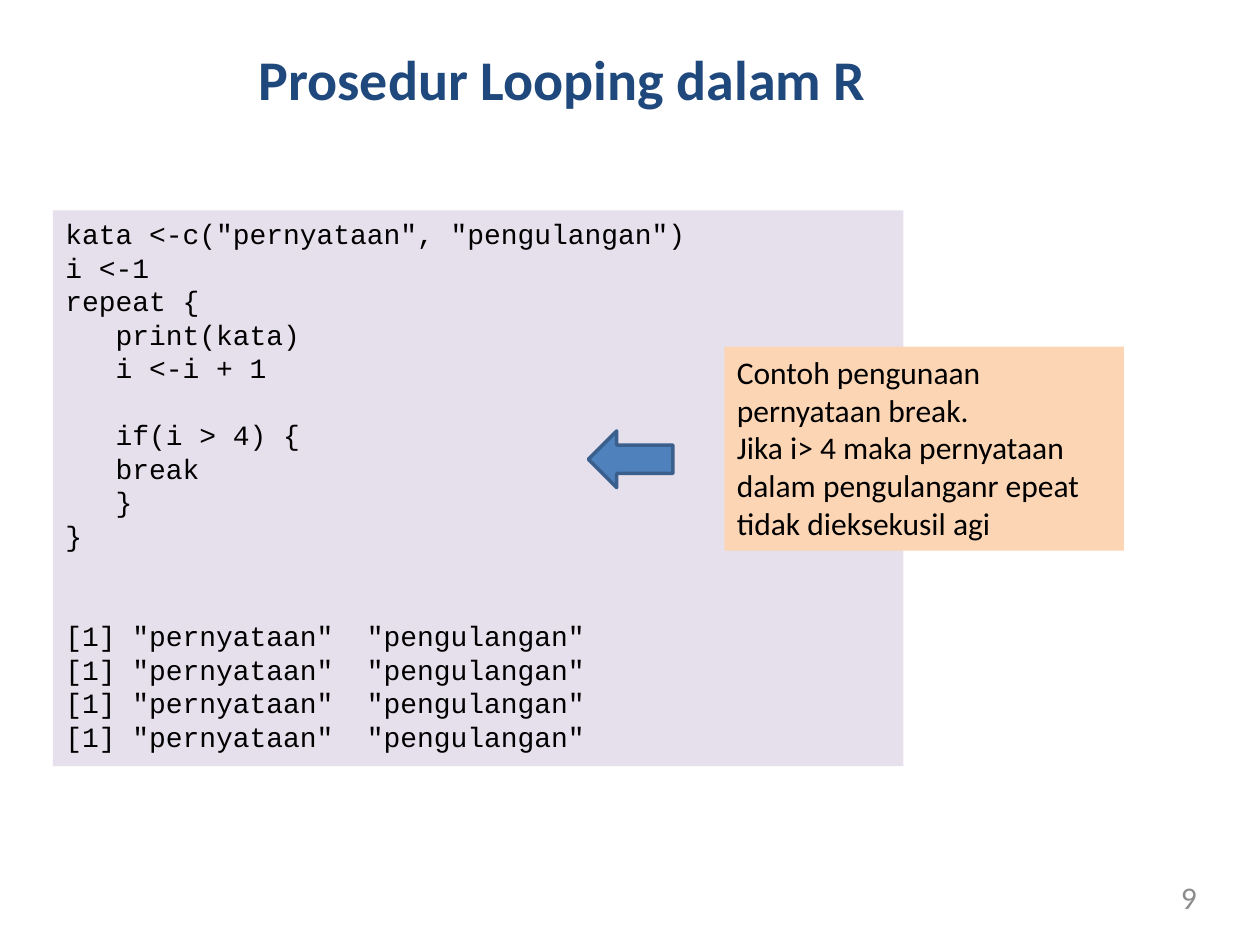
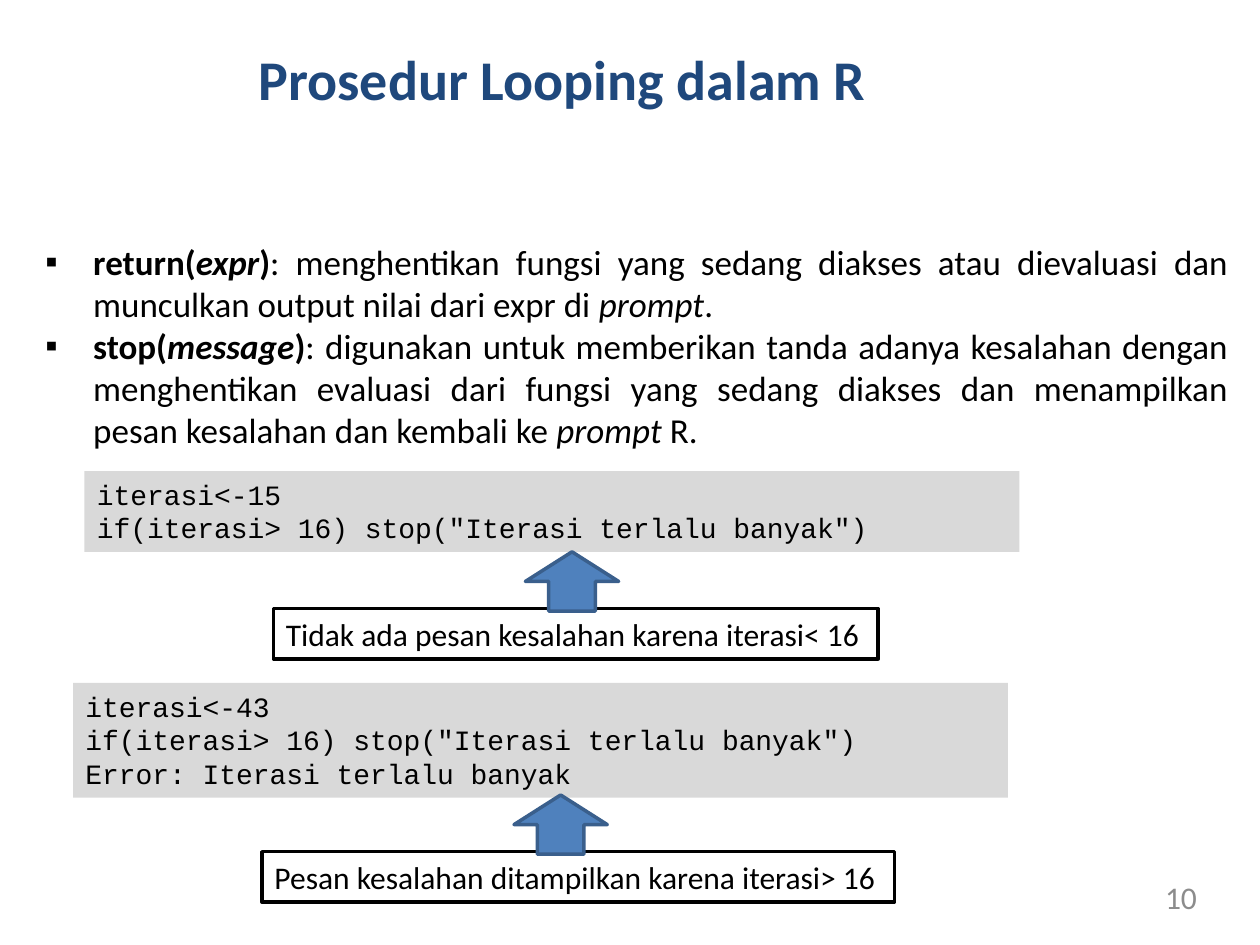
import dataclasses

import lxml.etree
import pptx
import pptx.dml.color
import pptx.enum.shapes
import pptx.enum.text
import pptx.oxml.ns
import pptx.util

PX = 9144
SHAPE = pptx.enum.shapes.MSO_SHAPE
ALIGN = pptx.enum.text.PP_ALIGN


@dataclasses.dataclass(frozen=True)
class Theme:
    sans: str = "Calibri"
    mono: str = "Courier New"
    title: str = "1F487C"
    ink: str = "000000"
    number: str = "8C8C8C"
    lilac: str = "E6E0EC"
    peach: str = "FCD5B5"
    grey: str = "D9D9D9"
    white: str = "FFFFFF"
    arrow: str = "4F81BD"
    arrow_edge: str = "3A5F8C"
    title_size: int = 32
    body_size: int = 20
    note_size: int = 18
    code_size: int = 16
    code_line: int = 19
    edge: int = 2


THEME = Theme()
CODE = {"font": THEME.mono, "size": THEME.code_size}


def write(holder, paragraphs, font=THEME.sans, size=THEME.note_size, color=THEME.ink,
          bold=False, align=ALIGN.LEFT, inset=None, wrap=True, bullet=None, gaps={}):
    frame = holder.text_frame
    frame.word_wrap = wrap
    frame.auto_size = pptx.enum.text.MSO_AUTO_SIZE.NONE
    frame.vertical_anchor = pptx.enum.text.MSO_ANCHOR.TOP
    if inset is not None:
        frame.margin_left = frame.margin_top = frame.margin_right = frame.margin_bottom = inset
    for index, runs in enumerate(paragraphs):
        paragraph = frame.add_paragraph() if index else frame.paragraphs[0]
        if bullet:
            properties = paragraph._p.get_or_add_pPr()
            properties.set("marL", str(38 * PX))
            properties.set("indent", str(-38 * PX))
            mark = lxml.etree.SubElement(properties, pptx.oxml.ns.qn("a:buChar"))
            mark.set("char", bullet)
        paragraph.alignment = align
        paragraph.space_before = pptx.util.Pt(gaps.get(index, 0))
        for words, style in [(runs, "")] if isinstance(runs, str) else runs:
            run = paragraph.add_run()
            run.text = words
            run.font.name = font
            run.font.size = pptx.util.Pt(size)
            run.font.bold = bold or "b" in style
            run.font.italic = "i" in style
            run.font.color.rgb = pptx.dml.color.RGBColor.from_string(color)


def draw(slide, kind, left, top, width, height, fill, line=None):
    shape = slide.shapes.add_shape(kind, left * PX, top * PX, width * PX, height * PX)
    shape.shadow.inherit = False
    shape.fill.solid()
    shape.fill.fore_color.rgb = pptx.dml.color.RGBColor.from_string(fill)
    if line:
        shape.line.color.rgb = pptx.dml.color.RGBColor.from_string(line)
        shape.line.width = pptx.util.Pt(THEME.edge)
    else:
        shape.line.fill.background()
    return shape


deck = pptx.Presentation()
deck.slide_width, deck.slide_height = 1000 * PX, 750 * PX
slides = []
for number, layout in (("9", 5), ("10", 1)):
    slide = deck.slides.add_slide(deck.slide_layouts[layout])
    title = slide.shapes.title
    title.left, title.top, title.width, title.height = 205 * PX, 35 * PX, 589 * PX, 54 * PX
    write(title, ["Prosedur Looping dalam R"], size=THEME.title_size, color=THEME.title,
          bold=True, inset=0)
    page = slide.shapes.add_textbox(720 * PX, 697 * PX, 230 * PX, 27 * PX)
    write(page, [number], color=THEME.number, align=ALIGN.RIGHT, inset=0)
    slides.append(slide)
break_slide, stop_slide = slides

repeat_code = draw(break_slide, SHAPE.RECTANGLE, 42, 167, 675, 441, THEME.lilac)
write(repeat_code, [
    'kata <-c("pernyataan", "pengulangan")',
    "i <-1",
    "repeat {",
    "   print(kata)",
    "   i <-i + 1",
    "   if(i > 4) {",
    "   break",
    "   }",
    "}",
    *['[1] "pernyataan"  "pengulangan"'] * 4,
], gaps={5: THEME.code_line, 9: 2 * THEME.code_line}, **CODE)

break_note = draw(break_slide, SHAPE.RECTANGLE, 575, 275, 317, 162, THEME.peach)
write(break_note, [
    "Contoh pengunaan pernyataan break.",
    "Jika i> 4 maka pernyataan dalam pengulanganr epeat tidak dieksekusil agi",
])
draw(break_slide, SHAPE.LEFT_ARROW, 467, 342, 67, 45, THEME.arrow, THEME.arrow_edge)

statements = stop_slide.placeholders[1]
statements.left, statements.top = 36 * PX, 191 * PX
statements.width, statements.height = 939 * PX, 202 * PX
write(statements, [
    [("return(", "b"), ("expr", "bi"), (")", "b"),
     (": menghentikan fungsi yang sedang diakses atau dievaluasi dan "
      "munculkan output nilai dari expr di ", ""), ("prompt", "i"), (".", "")],
    [("stop(", "b"), ("message", "bi"), (")", "b"),
     (": digunakan untuk memberikan tanda adanya kesalahan "
      "dengan menghentikan evaluasi dari fungsi yang sedang diakses dan "
      "menampilkan pesan kesalahan dan kembali ke ", ""), ("prompt ", "i"), ("R.", "")],
], size=THEME.body_size, align=ALIGN.JUSTIFY, inset=0, bullet="▪")

check = 'if(iterasi> 16) stop("Iterasi terlalu banyak")'
examples = (
    (67, 374, 64, ["iterasi<-15", check], 438,
     "Tidak ada pesan kesalahan karena iterasi< 16", 480),
    (58, 542, 91, ["iterasi<-43", check, "Error: Iterasi terlalu banyak"], 631,
     "Pesan kesalahan ditampilkan karena iterasi> 16", 502),
)
for left, top, height, code, arrow_top, remark, remark_width in examples:
    example = draw(stop_slide, SHAPE.RECTANGLE, left, top, 742, height, THEME.grey)
    write(example, code, **CODE)
    outcome = draw(stop_slide, SHAPE.RECTANGLE, left + 150, arrow_top + 45, remark_width, 40,
                   THEME.white, THEME.ink)
    write(outcome, [remark], wrap=False)
    draw(stop_slide, SHAPE.UP_ARROW, left + 350, arrow_top, 74, 47, THEME.arrow, THEME.arrow_edge)

deck.save("out.pptx")
